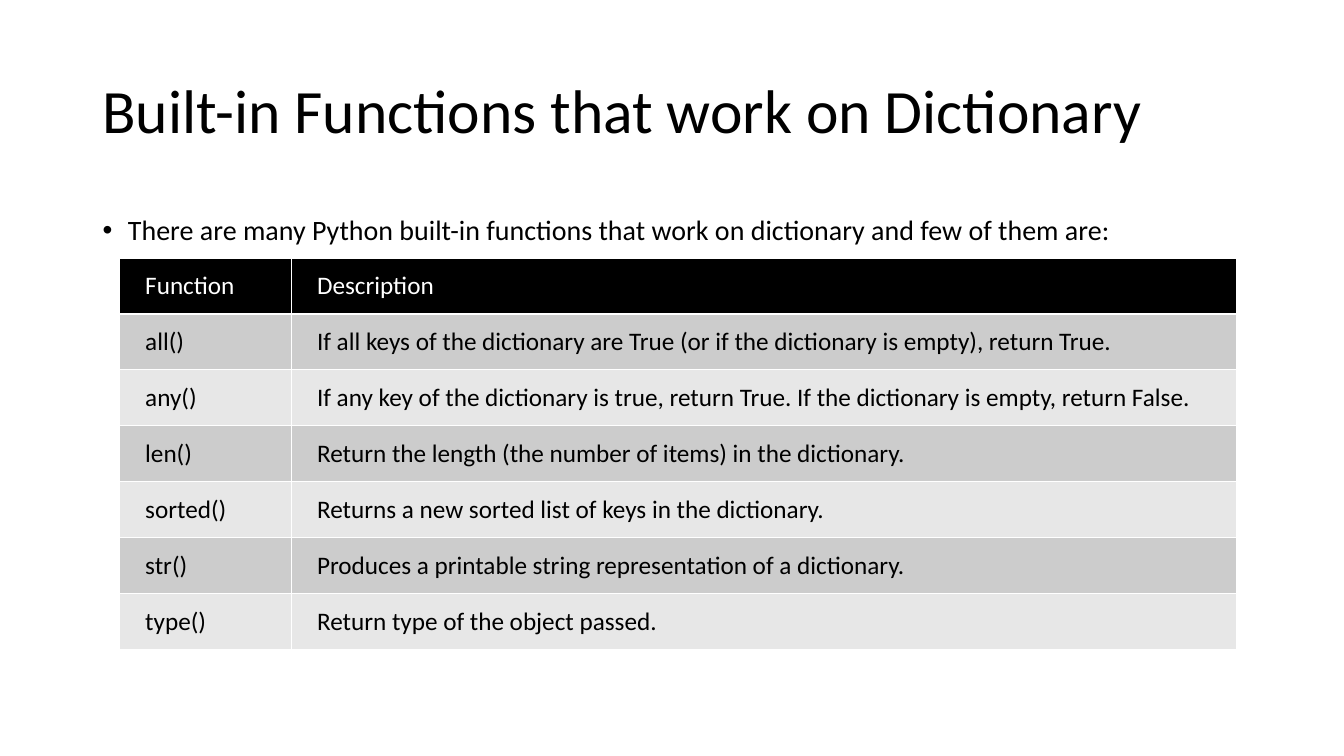
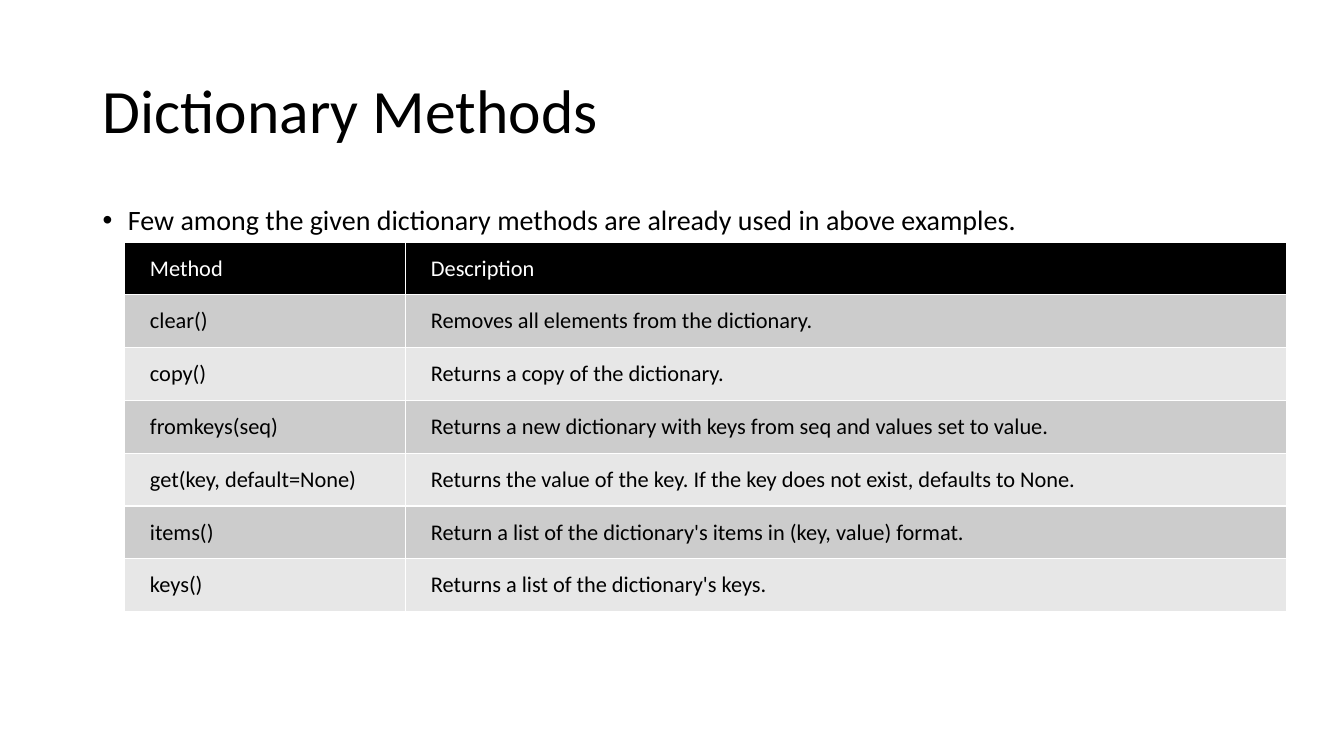
from lxml import etree
from pptx import Presentation
from pptx import util as u
from pptx.dml import color as c
from pptx.enum import text
from pptx.oxml import ns

COLORS = {"ink": "000000", "paper": "FFFFFF", "odd": "CCCCCC", "even": "E7E7E7"}
FONT = "Calibri"
LEFT, WIDTH = 2.33, 29.21


def set_all(obj, formats):
    """Set each attribute of obj from a dict."""
    for name, value in formats.items():
        setattr(obj, name, value)


class Deck:
    """Holds the style and the current slide."""

    def __init__(self):
        self.prs = Presentation()
        set_all(self.prs, {"slide_width": u.Cm(33.87), "slide_height": u.Cm(19.05)})
        self.s = None

    def add_slide(self):
        self.s = self.prs.slides.add_slide(self.prs.slide_layouts[1])

    def add_text(self, p, words, size, color="ink"):
        r = p.add_run()
        r.text = words
        set_all(r.font, {"name": FONT, "size": u.Pt(size), "bold": False})
        r.font.color.rgb = c.RGBColor.from_string(COLORS[color])

    def place(self, sp, top, height, **frame):
        """Move a placeholder and return its first paragraph."""
        set_all(sp, {"left": u.Cm(LEFT), "top": u.Cm(top),
                     "width": u.Cm(WIDTH), "height": u.Cm(height)})
        set_all(sp.text_frame, {"word_wrap": True,
                                "auto_size": text.MSO_AUTO_SIZE.NONE, **frame})
        p = sp.text_frame.paragraphs[0]
        set_all(p, {"alignment": text.PP_ALIGN.LEFT, "line_spacing": 0.9})
        return p

    def title(self, words):
        p = self.place(self.s.shapes.title, 1.01, 3.68,
                       vertical_anchor=text.MSO_ANCHOR.MIDDLE)
        self.add_text(p, words, 44)

    def bullet(self, words, inset):
        p = self.place(self.s.placeholders[1], 5.07, 12.09, margin_top=u.Cm(inset))
        p.space_before = u.Pt(10)
        pPr = p._p.get_or_add_pPr()
        indent = u.Cm(0.64)
        pPr.set("marL", str(indent))
        pPr.set("indent", str(-indent))
        self.add_text(p, words, 20)

    def borders(self, cell):
        tcPr = cell._tc.get_or_add_tcPr()
        for side in ("lnL", "lnR", "lnT", "lnB"):
            ln = etree.SubElement(tcPr, ns.qn("a:" + side), w=str(u.Pt(1)))
            fill = etree.SubElement(ln, ns.qn("a:solidFill"))
            etree.SubElement(fill, ns.qn("a:srgbClr"), val=COLORS["paper"])

    def table(self, rows, left, top, widths, row_height, size):
        frame = self.s.shapes.add_table(
            len(rows), len(widths), u.Cm(left), u.Cm(top),
            u.Cm(sum(widths)), u.Cm(row_height * len(rows)))
        tbl = frame.table
        set_all(tbl, {"first_row": False, "horz_banding": False})
        for col, width in zip(tbl.columns, widths):
            col.width = u.Cm(width)
        for i, row in enumerate(rows):
            tbl.rows[i].height = u.Cm(row_height)
            band = "ink" if i == 0 else "odd" if i % 2 else "even"
            for j, words in enumerate(row):
                cell = tbl.cell(i, j)
                set_all(cell, {"margin_left": u.Cm(0.64), "margin_right": u.Cm(0.64),
                               "margin_top": u.Cm(0.3), "margin_bottom": u.Cm(0.3),
                               "vertical_anchor": text.MSO_ANCHOR.MIDDLE})
                self.borders(cell)
                cell.fill.solid()
                cell.fill.fore_color.rgb = c.RGBColor.from_string(COLORS[band])
                self.add_text(cell.text_frame.paragraphs[0], words, size,
                              "ink" if i else "paper")


FUNCTIONS = [
    ("Function", "Description"),
    ("all()", "If all keys of the dictionary are True (or if the dictionary is empty), return True."),
    ("any()", "If any key of the dictionary is true, return True. If the dictionary is empty, return False."),
    ("len()", "Return the length (the number of items) in the dictionary."),
    ("sorted()", "Returns a new sorted list of keys in the dictionary."),
    ("str()", "Produces a printable string representation of a dictionary."),
    ("type()", "Return type of the object passed."),
]

METHODS = [
    ("Method", "Description"),
    ("clear()", "Removes all elements from the dictionary."),
    ("copy()", "Returns a copy of the dictionary."),
    ("fromkeys(seq)", "Returns a new dictionary with keys from seq and values set to value."),
    ("get(key, default=None)", "Returns the value of the key. If the key does not exist, defaults to None."),
    ("items()", "Return a list of the dictionary's items in (key, value) format."),
    ("keys()", "Returns a list of the dictionary's keys."),
]


def main():
    deck = Deck()

    # Built-in functions
    deck.add_slide()
    deck.title("Built-in Functions that work on Dictionary")
    deck.bullet("There are many Python built-in functions that work on dictionary "
                "and few of them are:", inset=0.38)
    deck.table(FUNCTIONS, 3.02, 6.5, (4.33, 23.82), 1.41, 18)

    # Dictionary methods
    deck.add_slide()
    deck.title("Dictionary Methods")
    deck.bullet("Few among the given dictionary methods are already used in above "
                "examples.", inset=0.13)
    deck.table(METHODS, 3.14, 6.1, (7.08, 22.2), 1.33, 16)

    deck.prs.save("out.pptx")


if __name__ == "__main__":
    main()
